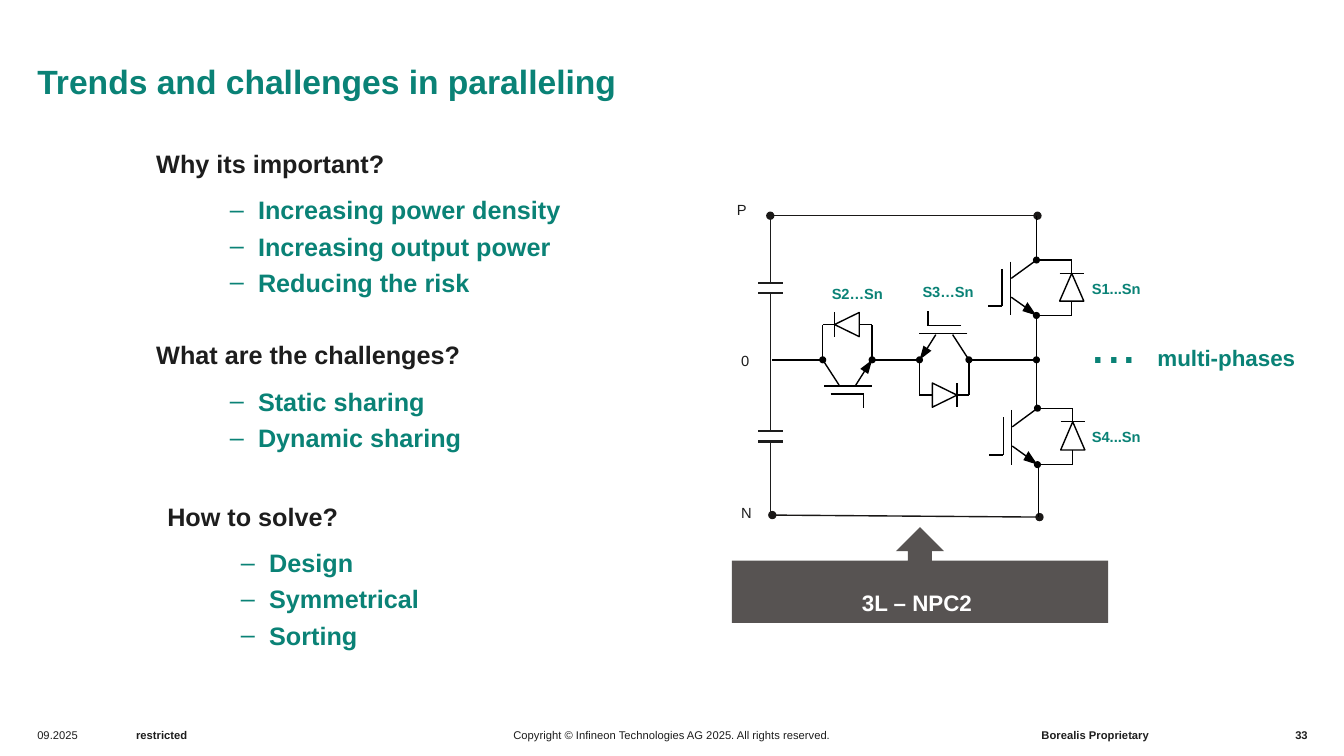
import pptx
import pptx.util
import pptx.dml.color
import pptx.enum.shapes
import pptx.enum.text
import pptx.oxml.ns
from lxml import etree

Inches = pptx.util.Inches
Pt = pptx.util.Pt
SHAPE = pptx.enum.shapes.MSO_SHAPE
ALIGN = pptx.enum.text.PP_ALIGN
ANCHOR = pptx.enum.text.MSO_ANCHOR
qn = pptx.oxml.ns.qn

TEAL, DARK, BLACK, GREY, WHITE = "0A8276", "1D1D1D", "000000", "575352", "FFFFFF"


def rgb(value):
    return pptx.dml.color.RGBColor.from_string(value)


def add_run(p, text, size, color, bold):
    r = p.add_run()
    r.text = text
    r.font.name = "Arial"
    r.font.size = Pt(size)
    r.font.bold = bold
    r.font.color.rgb = rgb(color)


def clear_margins(tf):
    tf.margin_left = tf.margin_right = tf.margin_top = tf.margin_bottom = 0


def add_text(s, x, y, w, h, lines, size, color, bold=False, align=ALIGN.LEFT,
             anchor=ANCHOR.MIDDLE, spacing=None, bullet=None):
    tf = s.shapes.add_textbox(Inches(x), Inches(y), Inches(w), Inches(h)).text_frame
    clear_margins(tf)
    tf.word_wrap = True
    tf.vertical_anchor = anchor
    for i, line in enumerate(lines):
        p = tf.add_paragraph() if i else tf.paragraphs[0]
        if bullet:
            add_bullet(p, bullet, color)
        p.alignment = align
        if spacing:
            p.line_spacing = spacing
        add_run(p, line, size, color, bold)


def add_bullet(p, char, color):
    pPr = p._p.get_or_add_pPr()
    pPr.set("marL", str(Inches(0.28)))
    pPr.set("indent", str(-Inches(0.28)))
    etree.SubElement(etree.SubElement(pPr, qn("a:buClr")), qn("a:srgbClr"), val=color)
    etree.SubElement(pPr, qn("a:buFont"), typeface="Arial")
    etree.SubElement(pPr, qn("a:buChar"), char=char)


def add_line(s, start, end, color=BLACK, width=1, dots=False):
    c = s.shapes.add_connector(pptx.enum.shapes.MSO_CONNECTOR.STRAIGHT,
                               *[Inches(v) for v in (*start, *end)])
    c.line.color.rgb = rgb(color)
    c.line.width = Pt(width)
    if dots:
        ln = c.line._get_or_add_ln()
        etree.SubElement(ln, qn("a:headEnd"), type="oval")
        etree.SubElement(ln, qn("a:tailEnd"), type="oval")
    etree.SubElement(c._element.spPr, qn("a:effectLst"))


def paint(sp, fill, line=None):
    sp.shadow.inherit = False
    sp.fill.solid()
    sp.fill.fore_color.rgb = rgb(fill)
    if line:
        sp.line.color.rgb = rgb(line)
        sp.line.width = Pt(1)
    else:
        sp.line.fill.background()


def add_triangle(s, points, fill, line=None):
    start, *rest = [(Inches(x), Inches(y)) for x, y in points]
    builder = s.shapes.build_freeform(*start)
    builder.add_line_segments(rest, close=True)
    paint(builder.convert_to_shape(), fill, line)


def add_node(s, x, y):
    sp = s.shapes.add_shape(SHAPE.OVAL, Inches(x - 0.035), Inches(y - 0.035),
                            Inches(0.07), Inches(0.07))
    paint(sp, BLACK)


def add_switch(s, collector, emitter):
    cx, cy = collector
    dx, dy = emitter[0] - cx, emitter[1] - cy
    length = abs(dx) + abs(dy)

    def at(along, across):
        return (cx + dx * along + dy / length * across,
                cy + dy * along - dx / length * across)

    wires = [
        ((0.03, -0.26), (1, -0.26)),
        ((0.16, -0.34), (0.83, -0.34)),
        ((0.83, -0.34), (0.83, -0.48)),
        ((0.33, -0.25), (0, 0)),
        ((0.67, -0.25), (0.85, -0.11)),
        ((0, 0), (0, 0.35)),
        ((1, 0), (1, 0.35)),
        ((0, 0.35), (1, 0.35)),
    ]
    for start, end in wires:
        add_line(s, at(*start), at(*end))
    add_triangle(s, [at(0.92, -0.14), at(1, 0), at(0.76, -0.09)], BLACK)
    add_triangle(s, [at(0.24, 0.35), at(0.74, 0.47), at(0.74, 0.23)], WHITE, BLACK)
    add_line(s, at(0.24, 0.23), at(0.24, 0.47))
    for end in (collector, emitter):
        add_node(s, *end)


def add_circuit(s, x, y):
    def at(dx, dy):
        return x + dx, y + dy

    add_line(s, at(0.66, 3.11), at(3.31, 3.13), "1A1817", dots=True)
    add_line(s, at(0.64, 0.14), at(3.29, 0.14), "1A1817", dots=True)

    for top, plate, bottom in ((0.14, 0.81, 1.6), (1.6, 2.28, 3.11)):
        add_line(s, at(0.64, top), at(0.64, plate), DARK)
        add_line(s, at(0.64, plate + 0.1), at(0.64, bottom), DARK)
        for dy in (plate, plate + 0.1):
            add_line(s, at(0.52, dy), at(0.77, dy), DARK, 1.5)

    for start, end in (((3.28, 0.14), (3.28, 0.58)), ((3.28, 1.13), (3.28, 2.05)),
                       ((3.3, 2.61), (3.3, 3.13)), ((0.66, 1.57), (1.16, 1.57)),
                       ((1.65, 1.57), (2.12, 1.57)), ((2.61, 1.57), (3.28, 1.57))):
        add_line(s, at(*start), at(*end))
    add_node(s, *at(3.28, 1.57))

    for collector, emitter in (((3.28, 0.58), (3.28, 1.13)), ((3.29, 2.05), (3.29, 2.61)),
                               ((1.16, 1.57), (1.65, 1.57)), ((2.61, 1.57), (2.12, 1.57))):
        add_switch(s, at(*collector), at(*emitter))

    for label, dx, dy in (("P", 0.31, -0.01), ("0", 0.35, 1.49), ("N", 0.35, 3)):
        add_text(s, *at(dx, dy), 0.3, 0.18, [label], 10.5, DARK)
    for label, dx, dy in (("S1...Sn", 3.83, 0.77), ("S4...Sn", 3.83, 2.24),
                          ("S3…Sn", 2.15, 0.8), ("S2…Sn", 1.25, 0.82)):
        add_text(s, *at(dx, dy), 0.63, 0.18, [label], 10.5, TEAL, True)

    add_text(s, *at(3.82, 1.05), 0.63, 0.67, ["..."], 40, TEAL, anchor=ANCHOR.TOP)
    add_text(s, *at(4.48, 1.36), 1.8, 0.29, ["multi-phases"], 16, TEAL, True,
             anchor=ANCHOR.TOP, spacing=1.2)


def add_callout(s, x, y, w, h):
    sp = s.shapes.add_shape(SHAPE.UP_ARROW_CALLOUT, Inches(x), Inches(y), Inches(w), Inches(h))
    paint(sp, GREY)
    add_text(s, x, y + 0.61, w - 0.06, 0.27, ["3L – NPC2"], 16, WHITE, True, ALIGN.CENTER)


def add_question(s, x, y, question, answers):
    add_text(s, x, y, 3.6, 0.33, [question], 18, DARK, True, anchor=ANCHOR.TOP, spacing=1.2)
    add_text(s, x + 0.73, y + 0.46, 3.57, 0.36 * len(answers), answers, 18, TEAL, True,
             anchor=ANCHOR.TOP, spacing=1.2, bullet="‒")


def add_title(s, x, y, w, h, text):
    sp = s.shapes.title
    sp.left, sp.top, sp.width, sp.height = [Inches(v) for v in (x, y, w, h)]
    tf = sp.text_frame
    clear_margins(tf)
    tf.word_wrap = True
    tf.auto_size = pptx.enum.text.MSO_AUTO_SIZE.NONE
    tf.vertical_anchor = ANCHOR.BOTTOM
    p = tf.paragraphs[0]
    p.alignment = ALIGN.LEFT
    add_run(p, text, 24, TEAL, True)


def add_footer(s, y, h):
    for text, x, w, bold, align in (
            ("09.2025", 0.37, 0.67, False, ALIGN.LEFT),
            ("restricted", 1.35, 1.06, True, ALIGN.LEFT),
            ("Copyright © Infineon Technologies AG 2025. All rights reserved.",
             4.97, 3.39, False, ALIGN.CENTER),
            ("Borealis Proprietary", 10.33, 1.5, True, ALIGN.LEFT),
            ("33", 12.55, 0.42, True, ALIGN.RIGHT)):
        add_text(s, x, y, w, h, [text], 8, DARK, bold, align)


def main():
    prs = pptx.Presentation()
    prs.slide_width, prs.slide_height = Inches(13.33), Inches(7.5)
    s = prs.slides.add_slide(prs.slide_layouts[5])
    add_title(s, 0.37, 0.21, 10.51, 0.79, "Trends and challenges in paralleling")
    add_question(s, 1.55, 1.41, "Why its important?",
                 ["Increasing power density", "Increasing output power", "Reducing the risk"])
    add_question(s, 1.55, 3.31, "What are the challenges?", ["Static sharing", "Dynamic sharing"])
    add_question(s, 1.66, 4.91, "How to solve?", ["Design", "Symmetrical", "Sorting"])
    add_callout(s, 7.26, 5.23, 3.73, 0.95)
    add_circuit(s, 7, 2)
    add_footer(s, 7.1, 0.39)
    prs.save("out.pptx")


if __name__ == "__main__":
    main()
